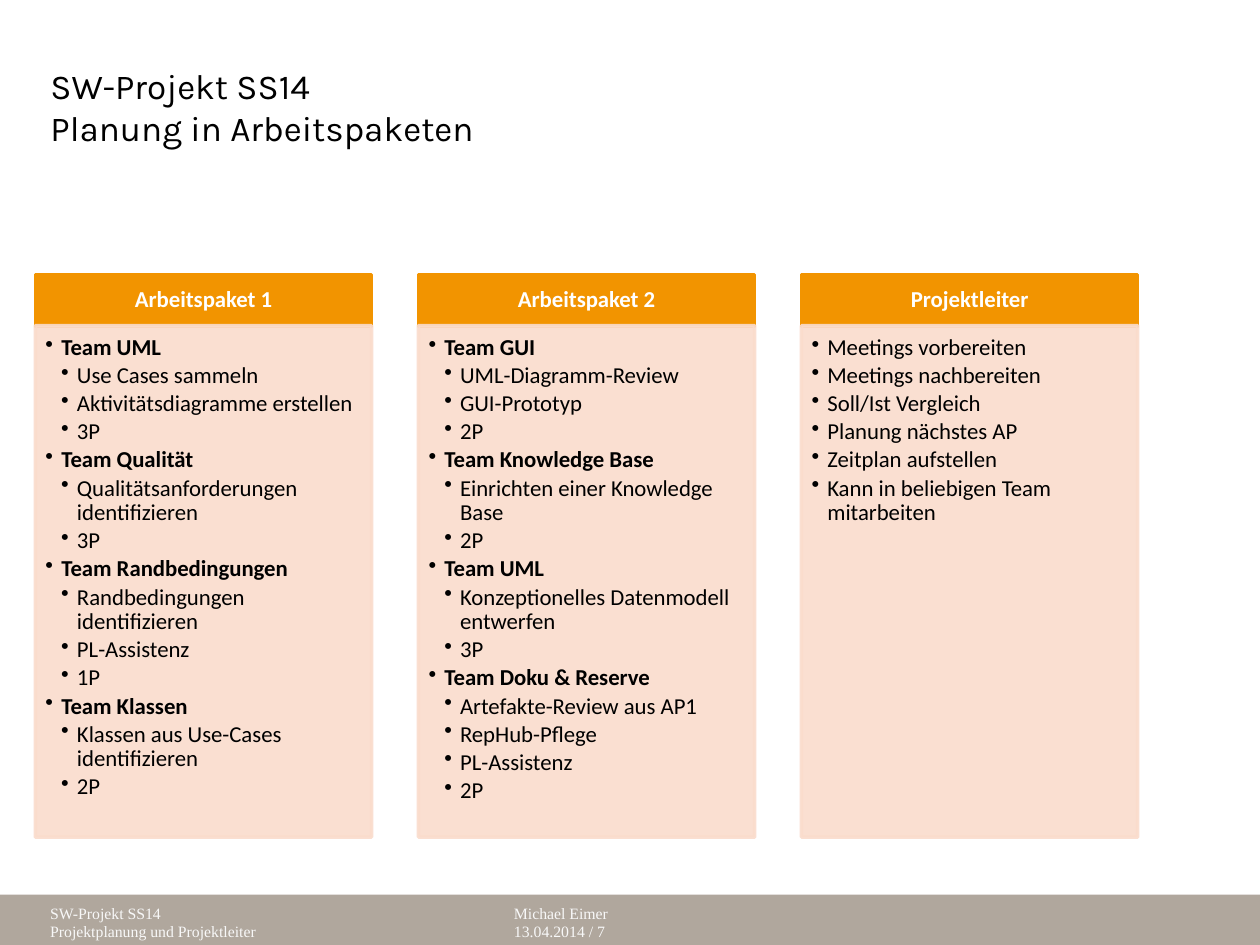
from lxml import etree
from pptx import Presentation
from pptx.dml.color import RGBColor
from pptx.enum.shapes import MSO_SHAPE
from pptx.enum.text import MSO_ANCHOR, MSO_AUTO_SIZE, PP_ALIGN
from pptx.oxml.ns import qn
from pptx.util import Pt

RECTANGLE = MSO_SHAPE.RECTANGLE
TOP, MIDDLE = MSO_ANCHOR.TOP, MSO_ANCHOR.MIDDLE
LEFT, CENTER = PP_ALIGN.LEFT, PP_ALIGN.CENTER
NO_AUTOFIT = MSO_AUTO_SIZE.NONE

ORANGE, PEACH, TAUPE = "F29400", "FADCCC", "B0A79D"
BLACK, WHITE, OFF_WHITE = "000000", "FFFFFF", "F8F8F8"

COLUMN_LEFT, COLUMN_PITCH, COLUMN_WIDTH = 20.2, 218.9, 192.2
HEADER_TOP, HEADER_HEIGHT = 157, 29.2
BODY_TOP, BODY_HEIGHT = 186.1, 292.3
INDENT = 9

# Each group is a bold team name with its tasks; plain groups have no name.
COLUMNS = [
    ("Arbeitspaket 1", [
        ("Team UML", ["Use Cases sammeln", "Aktivitätsdiagramme erstellen", "3P"]),
        ("Team Qualität", ["Qualitätsanforderungen identifizieren", "3P"]),
        ("Team Randbedingungen", ["Randbedingungen identifizieren", "PL-Assistenz", "1P"]),
        ("Team Klassen", ["Klassen aus Use-Cases identifizieren", "2P"]),
    ]),
    ("Arbeitspaket 2", [
        ("Team GUI", ["UML-Diagramm-Review", "GUI-Prototyp", "2P"]),
        ("Team Knowledge Base", ["Einrichten einer Knowledge Base", "2P"]),
        ("Team UML", ["Konzeptionelles Datenmodell entwerfen", "3P"]),
        ("Team Doku & Reserve", ["Artefakte-Review aus AP1", "RepHub-Pflege", "PL-Assistenz", "2P"]),
    ]),
    ("Projektleiter", [
        (None, ["Meetings vorbereiten", "Meetings nachbereiten", "Soll/Ist Vergleich",
                "Planung nächstes AP", "Zeitplan aufstellen",
                "Kann in beliebigen Team mitarbeiten"]),
    ]),
]
FOOTERS = [
    (21.6, 183, ["SW-Projekt SS14", "Projektplanung und Projektleiter"]),
    (286.6, 228, ["Michael Eimer", "13.04.2014 / 7"]),
]


def add_box(left, top, width, height, color, alpha=None):
    """Add a rectangle whose fill and outline share a colour and an opacity in percent."""
    shape = slide.shapes.add_shape(RECTANGLE, Pt(left), Pt(top), Pt(width), Pt(height))
    shape.shadow.inherit = False
    shape.fill.solid()
    shape.fill.fore_color.rgb = RGBColor.from_string(color)
    shape.line.color.rgb = RGBColor.from_string(color)
    shape.line.width = Pt(2)
    if alpha:
        for color_element in shape.element.spPr.iter(qn("a:srgbClr")):
            etree.SubElement(color_element, qn("a:alpha")).set("val", str(alpha * 1000))
    return shape


def write(frame, lines, font="Calibri", size=13, color=BLACK, bold=False, align=LEFT,
          anchor=TOP, insets=(7.2, 3.6, 7.2, 3.6), spacing=1.0, after=0, bullets=False):
    """Fill a text frame with lines; a line is a text or a (text, level, bold) tuple."""
    frame.word_wrap = True
    frame.auto_size = NO_AUTOFIT
    frame.vertical_anchor = anchor
    frame.margin_left, frame.margin_top, frame.margin_right, frame.margin_bottom = map(Pt, insets)
    for index, line in enumerate(lines):
        text, level, strong = (line, 0, bold) if isinstance(line, str) else line
        paragraph = frame.add_paragraph() if index else frame.paragraphs[0]
        paragraph.text = text
        paragraph.alignment = align
        paragraph.line_spacing = spacing
        paragraph.space_before = Pt(0)
        paragraph.space_after = Pt(after)
        paragraph.font.name = font
        paragraph.font.size = Pt(size)
        paragraph.font.bold = strong
        paragraph.font.color.rgb = RGBColor.from_string(color)
        if bullets:
            paragraph.level = level
            properties = paragraph._p.get_or_add_pPr()
            properties.set("marL", str(Pt(INDENT * level)))
            properties.set("indent", str(Pt(-INDENT)))
            bullet = etree.Element(qn("a:buChar"), char="•")
            properties.find(qn("a:defRPr")).addprevious(bullet)


presentation = Presentation()
presentation.slide_width, presentation.slide_height = Pt(720), Pt(540)
slide = presentation.slides.add_slide(presentation.slide_layouts[5])

footer_bar = add_box(0, 511.2, 720, 28.8, TAUPE)
footer_bar.line.fill.background()
for left, width, lines in FOOTERS:
    footer = slide.shapes.add_textbox(Pt(left), Pt(512.6), Pt(width), Pt(37.4))
    write(footer.text_frame, lines, font="Times New Roman", size=9, color=OFF_WHITE)

title = slide.shapes.title
title.left, title.top, title.width, title.height = Pt(21.6), Pt(33.1), Pt(467.3), Pt(105.8)
write(title.text_frame, ["SW-Projekt SS14\vPlanung in Arbeitspaketen"], font="Karla", size=20)

for column, (heading, groups) in enumerate(COLUMNS):
    left = COLUMN_LEFT + column * COLUMN_PITCH
    header = add_box(left, HEADER_TOP, COLUMN_WIDTH, HEADER_HEIGHT, ORANGE)
    write(header.text_frame, [heading], color=WHITE, bold=True, align=CENTER, anchor=MIDDLE,
          insets=(7.2, 4.3, 7.2, 4.3), spacing=0.9)

    items = []
    for team, tasks in groups:
        if team:
            items.append((team, 1, True))
        items += [(task, 2 if team else 1, False) for task in tasks]
    body = add_box(left, BODY_TOP, COLUMN_WIDTH, BODY_HEIGHT, PEACH, alpha=90)
    write(body.text_frame, items, insets=(5.8, 5.8, 7.2, 7.9), spacing=0.9, after=2, bullets=True)

presentation.save("out.pptx")
